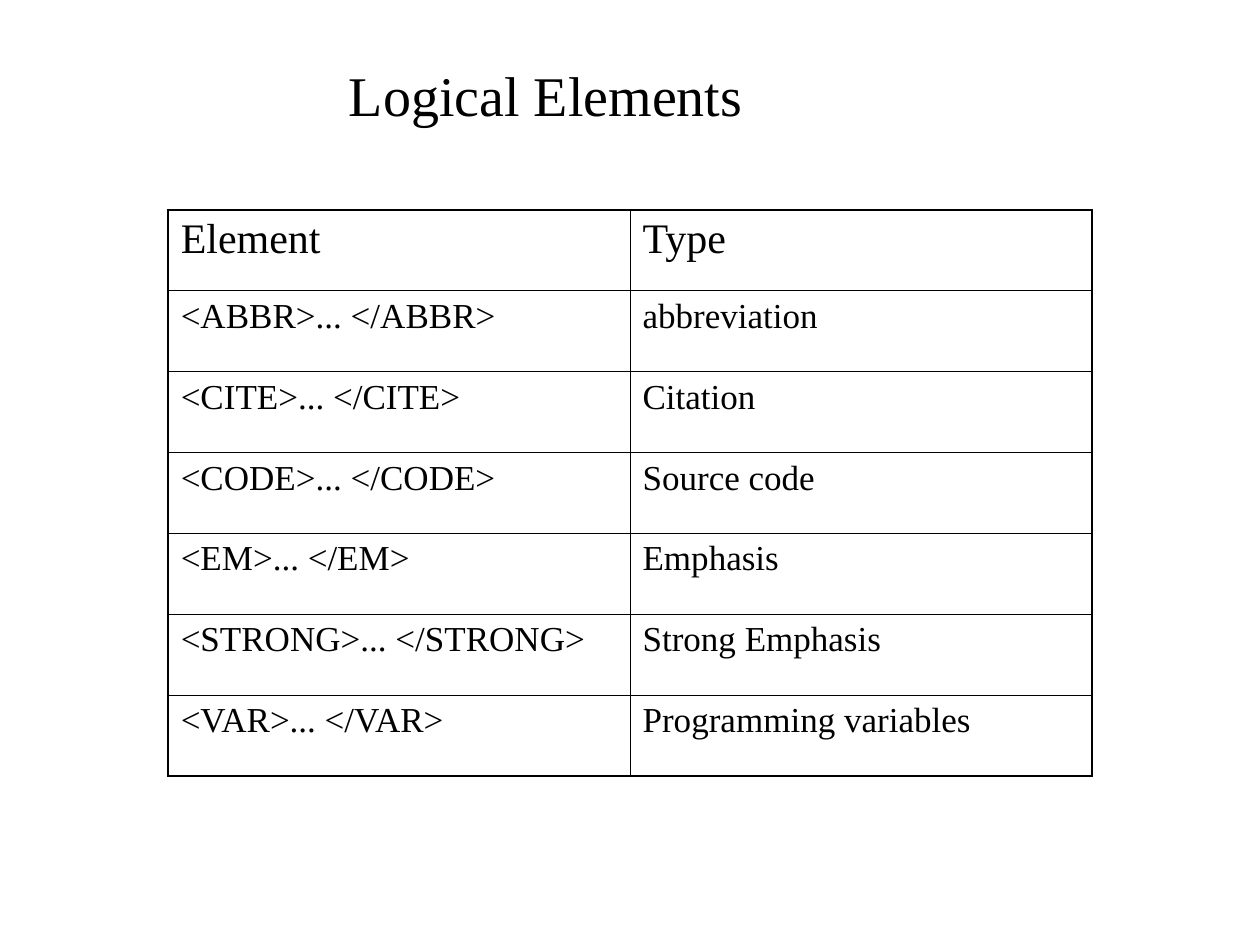
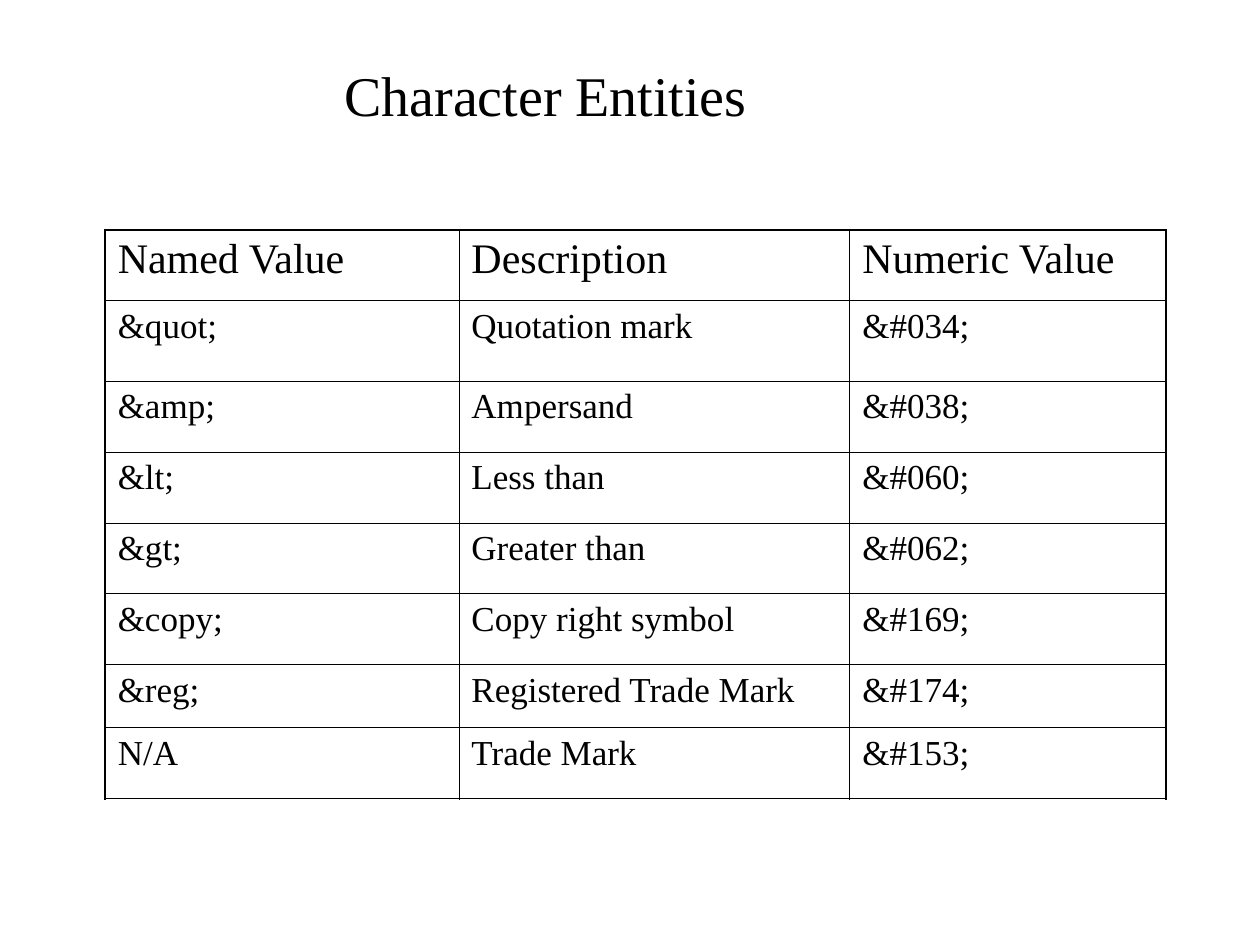
from pptx import Presentation
from pptx.dml.color import RGBColor
from pptx.enum.text import MSO_ANCHOR as Anchor, PP_ALIGN as Align
from pptx.oxml.ns import qn
from pptx.util import Cm, Pt
from lxml.etree import SubElement

BLACK = RGBColor(0, 0, 0)
FONT = "Times New Roman"
OUTER, INNER = Pt(1.08), Pt(0.45)

ELEMENTS = [
    ("Element", "Type"),
    ("<ABBR>... </ABBR>", "abbreviation"),
    ("<CITE>... </CITE>", "Citation"),
    ("<CODE>... </CODE>", "Source code"),
    ("<EM>... </EM>", "Emphasis"),
    ("<STRONG>... </STRONG>", "Strong Emphasis"),
    ("<VAR>... </VAR>", "Programming variables"),
]

ENTITIES = [
    ("Named Value", "Description", "Numeric Value"),
    ("&quot;", "Quotation mark", "&#034;"),
    ("&amp;", "Ampersand", "&#038;"),
    ("&lt;", "Less than", "&#060;"),
    ("&gt;", "Greater than", "&#062;"),
    ("&copy;", "Copy right symbol", "&#169;"),
    ("&reg;", "Registered Trade Mark", "&#174;"),
    ("N/A", "Trade Mark", "&#153;"),
]


class Deck:
    """Hold the presentation style and the slide being filled."""

    def __init__(self):
        self.prs = Presentation()
        self.prs.slide_width, self.prs.slide_height = Cm(25.4), Cm(19.05)
        self.s = None

    def paragraph(self, tf, text, size):
        """Put one styled paragraph into a text frame."""
        p = tf.paragraphs[0]
        p.text = text
        p.font.name, p.font.size = FONT, Pt(size)
        p.font.color.rgb = BLACK
        return p

    def slide(self, title):
        """Start a blank slide with its centred title."""
        self.s = self.prs.slides.add_slide(self.prs.slide_layouts[6])
        tf = self.s.shapes.add_textbox(Cm(1.27), Cm(1.27), Cm(19.47), Cm(1.27)).text_frame
        tf.word_wrap, tf.vertical_anchor = True, Anchor.MIDDLE
        self.paragraph(tf, title, 32).alignment = Align.CENTER

    def borders(self, cell, outer):
        """Draw the four cell borders, heavier on the outer sides."""
        tcPr = cell._tc.get_or_add_tcPr()
        for side in "LRTB":
            width = OUTER if side in outer else INNER
            ln = SubElement(tcPr, qn(f"a:ln{side}"), w=str(int(width)))
            fill = SubElement(ln, qn("a:solidFill"))
            SubElement(fill, qn("a:srgbClr"), val=str(BLACK))

    def table(self, left, top, widths, heights, rows):
        """Add a ruled, unfilled table with a larger heading row."""
        sp = self.s.shapes.add_table(len(rows), len(widths), Cm(left), Cm(top),
                                     Cm(sum(widths)), Cm(sum(heights)))
        table = sp.table
        table.first_row = table.horz_banding = False
        for column, width in zip(table.columns, widths):
            column.width = Cm(width)
        for row, height in zip(table.rows, heights):
            row.height = Cm(height)
        last_row, last_col = len(rows) - 1, len(widths) - 1
        for i, texts in enumerate(rows):
            for j, text in enumerate(texts):
                cell = table.cell(i, j)
                self.paragraph(cell.text_frame, text, 20 if i else 24)
                edges = {"L": j == 0, "R": j == last_col, "T": i == 0, "B": i == last_row}
                self.borders(cell, [side for side, on in edges.items() if on])
                cell.fill.background()


def main():
    deck = Deck()
    deck.slide("Logical Elements")
    deck.table(3.39, 4.23, [9.31] * 2, [1.63] * len(ELEMENTS), ELEMENTS)
    deck.slide("Character Entities")
    deck.table(2.12, 4.64, [7.13, 7.88, 6.37],
               [1.42, 1.62] + [1.43] * 4 + [1.27, 1.43], ENTITIES)
    deck.prs.save("out.pptx")


if __name__ == "__main__":
    main()
